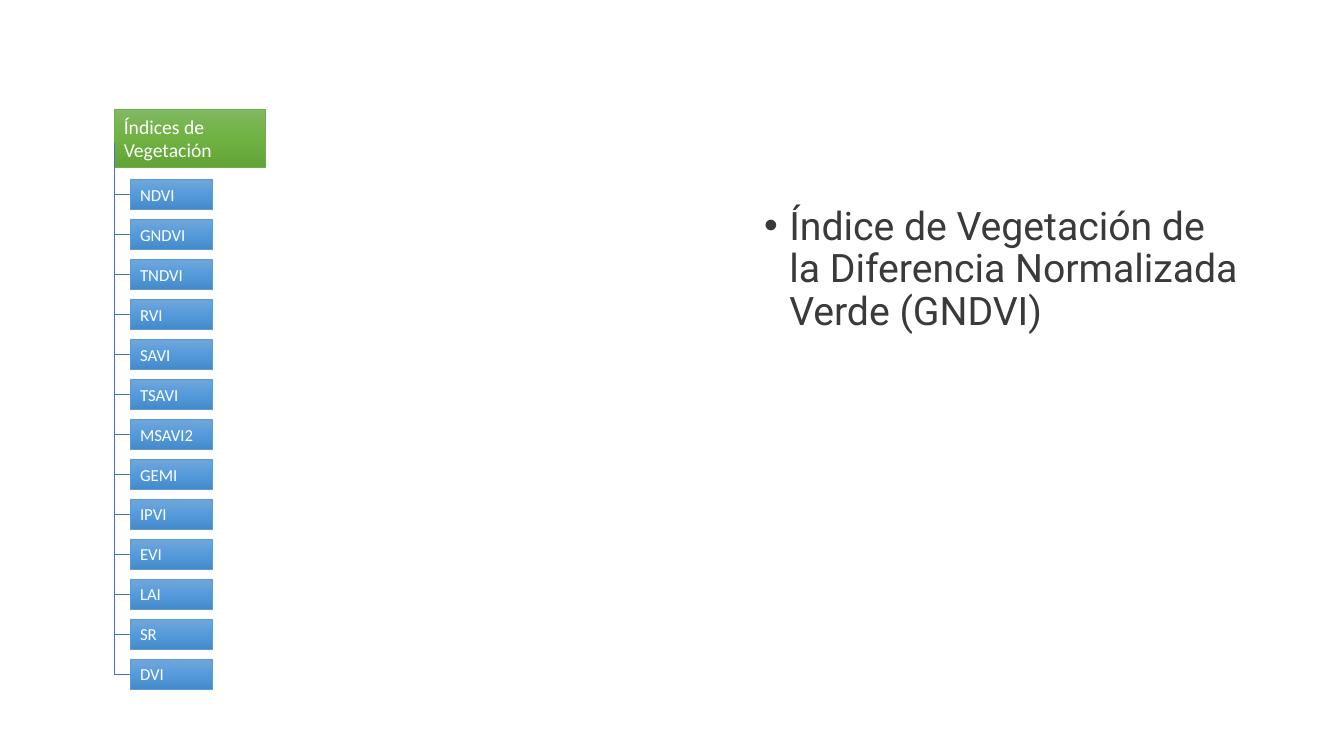
from copy import deepcopy
from dataclasses import dataclass

from pptx import Presentation
from pptx.dml.color import RGBColor
from pptx.enum.shapes import MSO_CONNECTOR, MSO_SHAPE
from pptx.enum.text import MSO_ANCHOR, MSO_AUTO_SIZE, PP_ALIGN
from pptx.oxml.ns import qn
from pptx.util import Inches, Pt
from lxml.etree import SubElement


@dataclass(frozen=True)
class Theme:
    """Colours, fonts and type sizes of the slide."""
    root_gradient: tuple = ("81B861", "6FB242", "62A336")
    root_line: str = "70AD47"
    leaf_gradient: tuple = ("71A6DB", "559BDB", "448ACA")
    leaf_line: str = "5B9BD5"
    branch: str = "4472C4"
    box_text: str = "FFFFFF"
    body_text: str = "3A3A3A"
    box_font: str = "Calibri"
    body_font: str = "Roboto"
    root_size: int = 14
    leaf_size: int = 12
    body_size: int = 28
    line_width: float = 0.5


@dataclass(frozen=True)
class Box:
    """A rectangle in inches."""
    left: float
    top: float
    width: float
    height: float

    def lengths(self):
        """Return the four lengths in slide units."""
        return [Inches(value) for value in (self.left, self.top, self.width, self.height)]


THEME = Theme()
INDICES = ["NDVI", "GNDVI", "TNDVI", "RVI", "SAVI", "TSAVI", "MSAVI2",
           "GEMI", "IPVI", "EVI", "LAI", "SR", "DVI"]


def add_run(paragraph, text, font, size, color):
    """Add one formatted run."""
    run = paragraph.add_run()
    run.text = text
    run.font.name = font
    run.font.size = Pt(size)
    run.font.color.rgb = RGBColor.from_string(color)


def set_gradient(fill, colors):
    """Fill from top to bottom with three evenly spaced colours."""
    fill.gradient()
    fill.gradient_angle = 270
    first_stop = fill._xPr.find(qn("a:gradFill")).find(qn("a:gsLst"))[0]
    first_stop.addnext(deepcopy(first_stop))
    for index, (stop, color) in enumerate(zip(fill.gradient_stops, colors)):
        stop.position = index / 2
        stop.color.rgb = RGBColor.from_string(color)


def add_label(slide, box, text, size, gradient, line_color):
    """Add a gradient rectangle with a left-aligned label."""
    shape = slide.shapes.add_shape(MSO_SHAPE.RECTANGLE, *box.lengths())
    shape.shadow.inherit = False
    set_gradient(shape.fill, gradient)
    shape.line.color.rgb = RGBColor.from_string(line_color)
    shape.line.width = Pt(THEME.line_width)
    frame = shape.text_frame
    frame.word_wrap = True
    frame.auto_size = MSO_AUTO_SIZE.SHAPE_TO_FIT_TEXT
    frame.vertical_anchor = MSO_ANCHOR.TOP
    paragraph = frame.paragraphs[0]
    paragraph.alignment = PP_ALIGN.LEFT
    add_run(paragraph, text, THEME.box_font, size, THEME.box_text)
    return shape


def add_branch(slide, start, end):
    """Add a thin straight line between two points."""
    connector = slide.shapes.add_connector(
        MSO_CONNECTOR.STRAIGHT, *[Inches(value) for value in (*start, *end)])
    connector.line.color.rgb = RGBColor.from_string(THEME.branch)
    connector.line.width = Pt(THEME.line_width)
    SubElement(connector._element.spPr, qn("a:effectLst"))
    return connector


def add_index_tree(slide, box):
    """Draw the root label, its trunk and one branch for each index."""
    root_height, leaf_height, leaf_width, indent = 0.57, 0.3, 0.82, 0.16
    first_top = box.top + 0.69
    pitch = (box.top + box.height - leaf_height - first_top) / (len(INDICES) - 1)
    add_label(slide, Box(box.left, box.top, box.width, root_height),
              "Índices de Vegetación", THEME.root_size, THEME.root_gradient, THEME.root_line)
    add_branch(slide, (box.left, box.top + 0.33),
               (box.left, box.top + box.height - leaf_height / 2))
    for row, name in enumerate(INDICES):
        leaf_box = Box(box.left + indent, first_top + row * pitch, leaf_width, leaf_height)
        leaf = add_label(slide, leaf_box, name, THEME.leaf_size,
                         THEME.leaf_gradient, THEME.leaf_line)
        middle = leaf_box.top + leaf_height / 2
        branch = add_branch(slide, (leaf_box.left, middle), (box.left, middle))
        branch.begin_connect(leaf, 1)


def add_body(slide, box):
    """Write the bulleted description."""
    frame = slide.shapes.add_textbox(*box.lengths()).text_frame
    frame.word_wrap = True
    paragraph = frame.paragraphs[0]
    paragraph.line_spacing = 0.9
    properties = paragraph._p.get_or_add_pPr()
    properties.set("marL", str(Inches(0.25)))
    properties.set("indent", str(-Inches(0.25)))
    SubElement(properties, qn("a:buFont")).set("typeface", "Arial")
    SubElement(properties, qn("a:buChar")).set("char", "•")
    add_run(paragraph, "Índice de Vegetación de la Diferencia Normalizada Verde (GNDVI)",
            THEME.body_font, THEME.body_size, THEME.body_text)


def main():
    """Build the slide and save it."""
    presentation = Presentation()
    presentation.slide_width = Inches(13.33)
    presentation.slide_height = Inches(7.5)
    slide = presentation.slides.add_slide(presentation.slide_layouts[6])
    add_body(slide, Box(7.48, 2, 4.92, 4.76))
    add_index_tree(slide, Box(1.13, 1.09, 1.5, 5.75))
    presentation.save("out.pptx")


if __name__ == "__main__":
    main()
